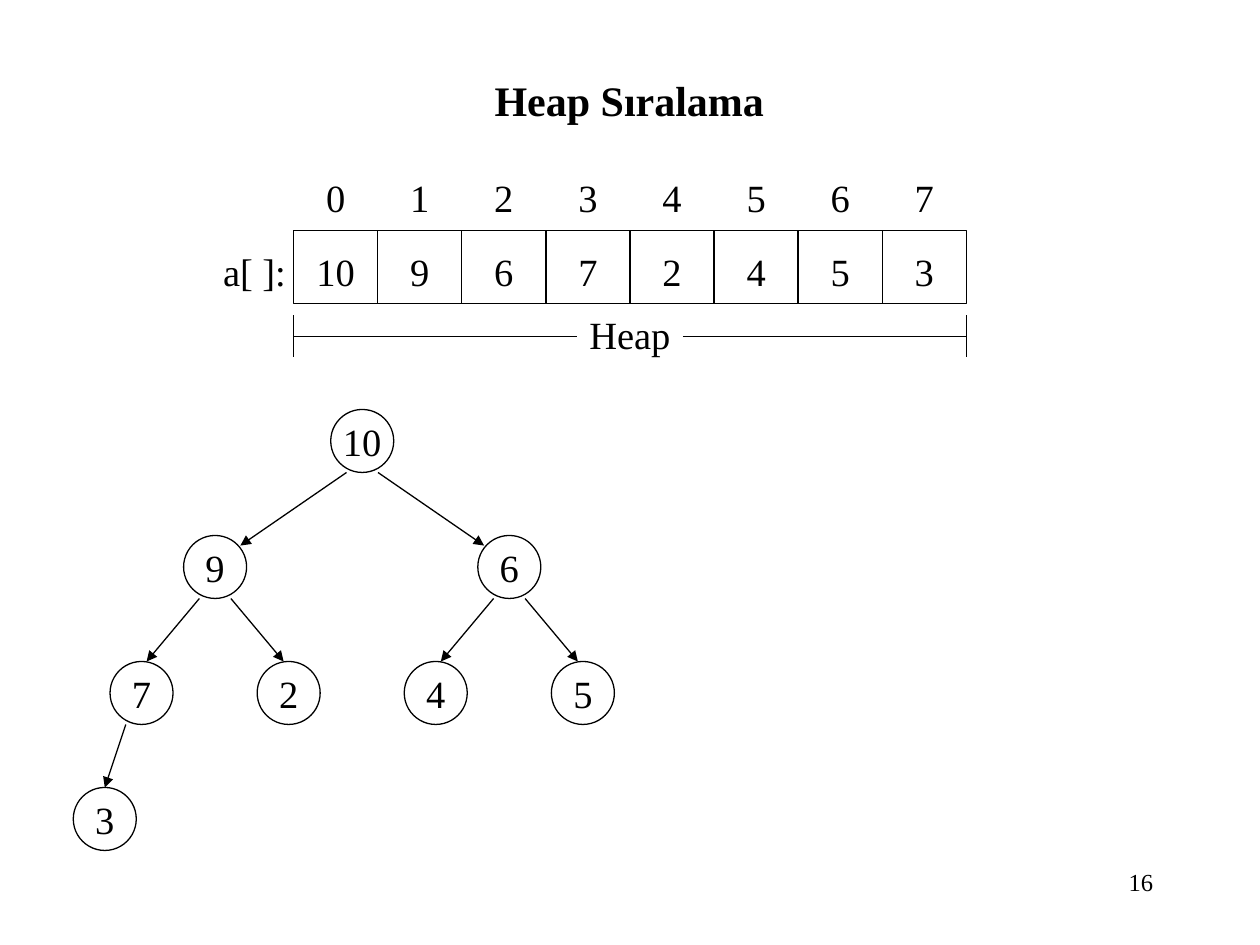
from lxml import etree
from pptx import Presentation
from pptx.dml.color import RGBColor
from pptx.enum.shapes import MSO_CONNECTOR, MSO_SHAPE
from pptx.enum.text import MSO_ANCHOR, PP_ALIGN
from pptx.oxml.ns import qn
from pptx.util import Inches, Pt

STRAIGHT = MSO_CONNECTOR.STRAIGHT
OVAL, RECTANGLE = MSO_SHAPE.OVAL, MSO_SHAPE.RECTANGLE
TOP, MIDDLE = MSO_ANCHOR.TOP, MSO_ANCHOR.MIDDLE
CENTER, RIGHT = PP_ALIGN.CENTER, PP_ALIGN.RIGHT

COLORS = {"ink": "000000"}
FONT = "Times New Roman"
LINE_WIDTH = Pt(0.75)
HEAP = [10, 9, 6, 7, 2, 4, 5, 3]
NODE_SIZE = 0.5
ARROW_INSETS = {1: (0.2, 0.08), 2: (0.04, 0), 3: (0, 0)}


def ink():
    """Return the colour of text and lines."""
    return RGBColor.from_string(COLORS["ink"])


def write_text(shape, text, size=22, bold=False, align=CENTER, anchor=MIDDLE,
               wrap=False, insets=(0.1, 0.05)):
    """Write one formatted paragraph into a shape."""
    frame = shape.text_frame
    frame.word_wrap = wrap
    frame.vertical_anchor = anchor
    frame.margin_left = frame.margin_right = Inches(insets[0])
    frame.margin_top = frame.margin_bottom = Inches(insets[1])
    paragraph = frame.paragraphs[0]
    paragraph.alignment = align
    run = paragraph.add_run()
    run.text = text
    run.font.name = FONT
    run.font.size = Pt(size)
    run.font.bold = bold
    run.font.color.rgb = ink()


def add_label(slide, text, left, top, width, height, **text_format):
    """Add a text box."""
    label = slide.shapes.add_textbox(
        Inches(left), Inches(top), Inches(width), Inches(height))
    write_text(label, text, **text_format)


def add_outline(slide, kind, text, left, top, width, height):
    """Add an unfilled shape holding a value."""
    outline = slide.shapes.add_shape(
        kind, Inches(left), Inches(top), Inches(width), Inches(height))
    outline.shadow.inherit = False
    outline.fill.background()
    outline.line.color.rgb = ink()
    outline.line.width = LINE_WIDTH
    write_text(outline, text, insets=(0, 0))
    return outline


def add_line(slide, x1, y1, x2, y2, arrow=False):
    """Add a straight line, with an arrowhead at its end if asked."""
    line = slide.shapes.add_connector(
        STRAIGHT, Inches(x1), Inches(y1), Inches(x2), Inches(y2))
    line.line.color.rgb = ink()
    line.line.width = LINE_WIDTH
    if arrow:
        etree.SubElement(line.line._get_or_add_ln(), qn("a:tailEnd"), type="triangle")
    etree.SubElement(line._element.spPr, qn("a:effectLst"))


def add_array(slide, left, top, width):
    """Draw the indexed array with its name and the heap bracket below."""
    cell_width, cell_height = width / len(HEAP), 0.58
    cell_top = top + 0.5
    for index, value in enumerate(HEAP):
        cell_left = left + index * cell_width
        add_label(slide, str(index), cell_left, top, cell_width, 0.47)
        cell = add_outline(slide, RECTANGLE, str(value),
                           cell_left, cell_top, cell_width, cell_height)
        cell.text_frame.margin_top = Inches(0.07)
    add_label(slide, "a[ ]:", left - 0.66, cell_top + 0.09, 0.7, 0.47)

    right, middle = left + width, left + width / 2
    bracket_top = cell_top + cell_height + 0.09
    bracket_middle = bracket_top + 0.17
    for end, direction in ((left, -1), (right, 1)):
        add_line(slide, end, bracket_top, end, bracket_top + 0.33)
        inner = middle + direction * 0.42
        add_line(slide, min(end, inner), bracket_middle,
                 max(end, inner), bracket_middle)
    add_label(slide, "Heap", middle - 0.42, bracket_top - 0.08, 0.84, 0.47)


def add_tree(slide, left, top, width, level_gap=1):
    """Draw the heap as a binary tree whose levels split the width evenly."""
    centers = []
    for index, value in enumerate(HEAP):
        level = (index + 1).bit_length() - 1
        place = index + 1 - 2 ** level
        center = left + (place + 0.5) * width / 2 ** level
        node_top = top + level * level_gap
        centers.append(center)
        add_outline(slide, OVAL, str(value), center - NODE_SIZE / 2, node_top,
                    NODE_SIZE, NODE_SIZE)
        if level:
            parent = centers[(index - 1) // 2]
            side = 1 if center > parent else -1
            inset_x, inset_y = ARROW_INSETS[level]
            add_line(slide, parent + side * NODE_SIZE / 4,
                     node_top - level_gap + NODE_SIZE,
                     center - side * inset_x, node_top + inset_y, arrow=True)


def main():
    """Build and save the heap sort slide."""
    deck = Presentation()
    deck.slide_width, deck.slide_height = Inches(10), Inches(7.5)
    slide = deck.slides.add_slide(deck.slide_layouts[6])
    add_label(slide, "Heap Sıralama", 0.58, 0.5, 8.83, 0.58,
              size=24, bold=True, wrap=True)
    add_array(slide, 2.33, 1.33, 5.34)
    add_tree(slide, 0.54, 3.25, 4.67)
    add_label(slide, "16", 7.17, 6.83, 2.08, 0.5,
              size=14, align=RIGHT, anchor=TOP, wrap=True)
    deck.save("out.pptx")


if __name__ == "__main__":
    main()
